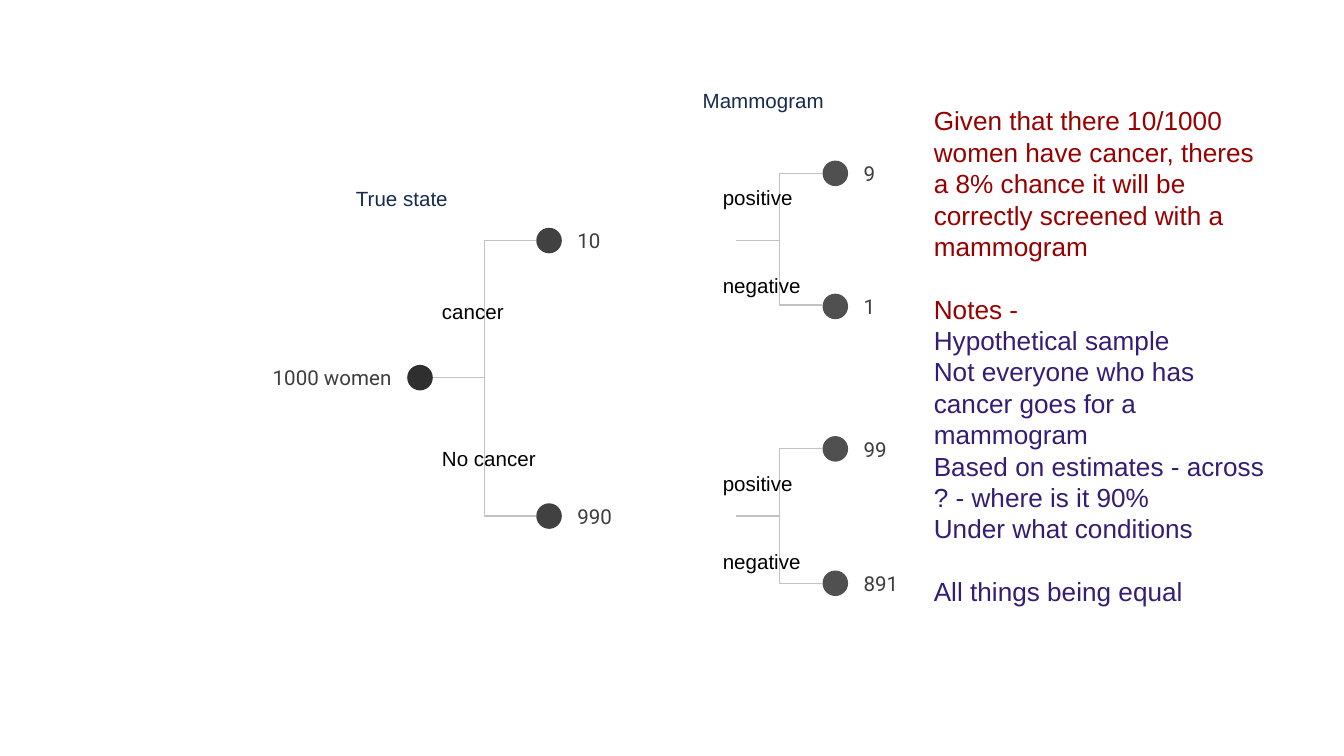
from lxml import etree
from pptx import Presentation
from pptx.dml.color import RGBColor
from pptx.enum import shapes, text
from pptx.oxml.ns import qn
from pptx.util import Inches, Pt

NAVY = RGBColor(0x17, 0x2B, 0x4D)
BLACK = RGBColor(0, 0, 0)
GRAY = RGBColor(0x3D, 0x3D, 0x3D)
BRANCH_GRAY = RGBColor(0xC2, 0xC2, 0xC2)
ROOT_FILL = RGBColor(0x2F, 0x2F, 0x2F)
STATE_FILL = RGBColor(0x41, 0x41, 0x41)
RESULT_FILL = RGBColor(0x50, 0x50, 0x50)
DARK_RED = RGBColor(0x98, 0, 0)
RED = RGBColor(0x99, 0, 0)
PURPLE = RGBColor(0x35, 0x1C, 0x75)

DOT = 0.19
COUNT_WIDTH, COUNT_HEIGHT = 1.29, 0.35
ROOT_X, STATE_X, RESULT_X = 3.03, 3.99, 6.12
STEM_X = 5.48
ROOT_Y, CANCER_Y, HEALTHY_Y = 2.81, 1.79, 3.84


def prepare_frame(frame):
    frame.word_wrap = True
    frame.margin_left = frame.margin_right = Inches(0.1)
    frame.margin_top = frame.margin_bottom = Inches(0.1)


def style_paragraph(paragraph, size, font, color):
    for run in paragraph.runs:
        run.font.size = Pt(size)
        run.font.name = font
        run.font.color.rgb = color


prs = Presentation()
prs.slide_width = Inches(10)
prs.slide_height = Inches(10) * 9 // 16
slide = prs.slides.add_slide(prs.slide_layouts[6])

branches = [
    (ROOT_X + DOT, ROOT_Y, STATE_X, HEALTHY_Y),
    (ROOT_X + DOT, ROOT_Y, STATE_X, CANCER_Y),
    (STEM_X, CANCER_Y, RESULT_X, 1.29),
    (STEM_X, CANCER_Y, RESULT_X, 2.27),
    (STEM_X, HEALTHY_Y, RESULT_X, 3.34),
    (STEM_X, HEALTHY_Y, RESULT_X, 4.34),
]
for ends in branches:
    branch = slide.shapes.add_connector(
        shapes.MSO_CONNECTOR.ELBOW, *[Inches(end) for end in ends])
    branch.line.color.rgb = BRANCH_GRAY
    branch.line.width = Pt(0.75)
    etree.SubElement(branch._element.spPr, qn("a:effectLst"))

nodes = [
    ("9", RESULT_X, 1.29, RESULT_FILL),
    ("10", STATE_X, CANCER_Y, STATE_FILL),
    ("1000 women", ROOT_X, ROOT_Y, ROOT_FILL),
    ("990", STATE_X, HEALTHY_Y, STATE_FILL),
    ("1", RESULT_X, 2.28, RESULT_FILL),
    ("99", RESULT_X, 3.34, RESULT_FILL),
    ("891", RESULT_X, 4.34, RESULT_FILL),
]
for people, x, y, fill in nodes:
    is_root = x == ROOT_X
    node = slide.shapes.add_group_shape()
    count = node.shapes.add_shape(
        shapes.MSO_SHAPE.ROUNDED_RECTANGLE,
        Inches(x - COUNT_WIDTH if is_root else x + DOT),
        Inches(y - COUNT_HEIGHT / 2),
        Inches(COUNT_WIDTH), Inches(COUNT_HEIGHT))
    count.shadow.inherit = False
    count.fill.background()
    count.line.fill.background()
    prepare_frame(count.text_frame)
    count.text_frame.vertical_anchor = text.MSO_ANCHOR.MIDDLE
    count.text_frame.text = people
    paragraph = count.text_frame.paragraphs[0]
    paragraph.alignment = text.PP_ALIGN.RIGHT if is_root else text.PP_ALIGN.LEFT
    style_paragraph(paragraph, 11, "Roboto", GRAY)

    dot = node.shapes.add_shape(
        shapes.MSO_SHAPE.OVAL, Inches(x), Inches(y - DOT / 2),
        Inches(DOT), Inches(DOT))
    dot.shadow.inherit = False
    dot.fill.solid()
    dot.fill.fore_color.rgb = fill
    dot.line.fill.background()

captions = [
    ("True state", 2.55, 1.29, 1.57, 0.35, NAVY),
    ("cancer", 3.19, 2.14, 0.83, 0.18, BLACK),
    ("positive", 5.28, 1.29, 0.83, 0.18, BLACK),
    ("negative", 5.28, 1.94, 0.83, 0.18, BLACK),
    ("positive", 5.28, 3.42, 0.83, 0.18, BLACK),
    ("negative", 5.28, 4, 0.83, 0.18, BLACK),
    ("No cancer", 3.19, 3.23, 0.93, 0.18, BLACK),
    ("Mammogram", 5.13, 0.56, 1.57, 0.35, NAVY),
]
for wording, *box, color in captions:
    caption = slide.shapes.add_textbox(*[Inches(length) for length in box])
    prepare_frame(caption.text_frame)
    caption.text_frame.text = wording
    style_paragraph(caption.text_frame.paragraphs[0], 11, "Arial", color)

remarks = [
    ("Given that there 10/1000 women have cancer, theres a 8% chance "
     "it will be correctly screened with a mammogram", DARK_RED, 0),
    ("Notes -", RED, 16.8),
    ("Hypothetical sample", PURPLE, 0),
    ("Not everyone who has cancer goes for a mammogram", PURPLE, 0),
    ("Based on estimates - across ? - where is it 90%", PURPLE, 0),
    ("Under what conditions", PURPLE, 0),
    ("All things being equal", PURPLE, 16.8),
]
notes = slide.shapes.add_textbox(
    Inches(6.85), Inches(0.68), Inches(2.67), Inches(4.05)).text_frame
prepare_frame(notes)
notes.text = "\n".join(wording for wording, _, _ in remarks)
for paragraph, (_, color, gap) in zip(notes.paragraphs, remarks):
    paragraph.space_before = Pt(gap)
    style_paragraph(paragraph, 14, "Arial", color)

prs.save("out.pptx")
